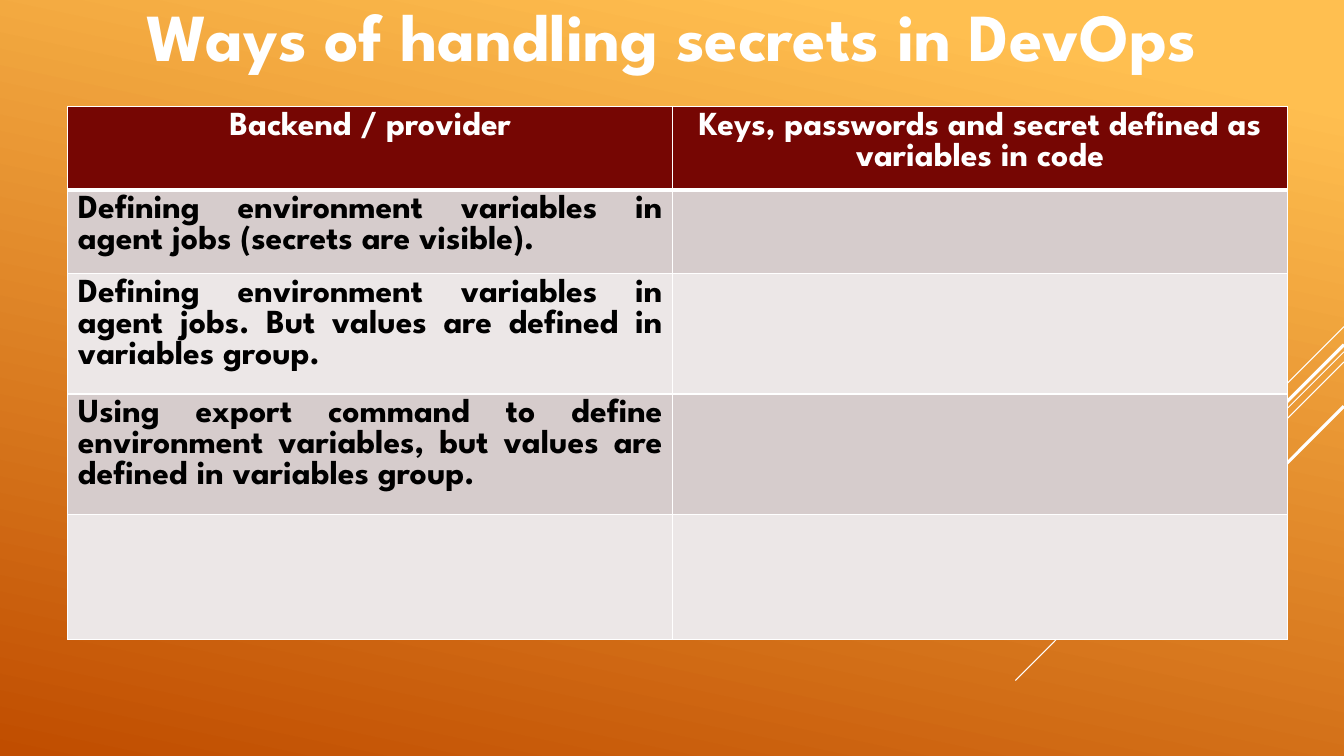
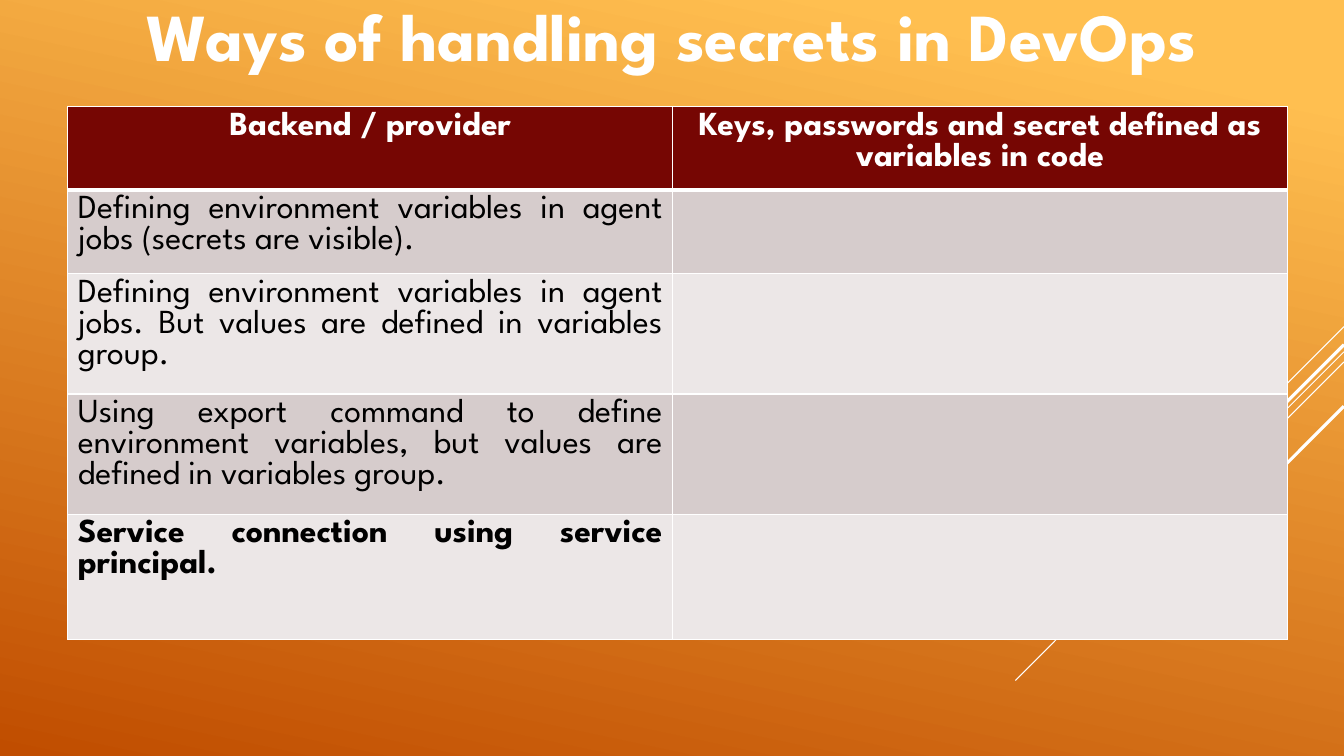
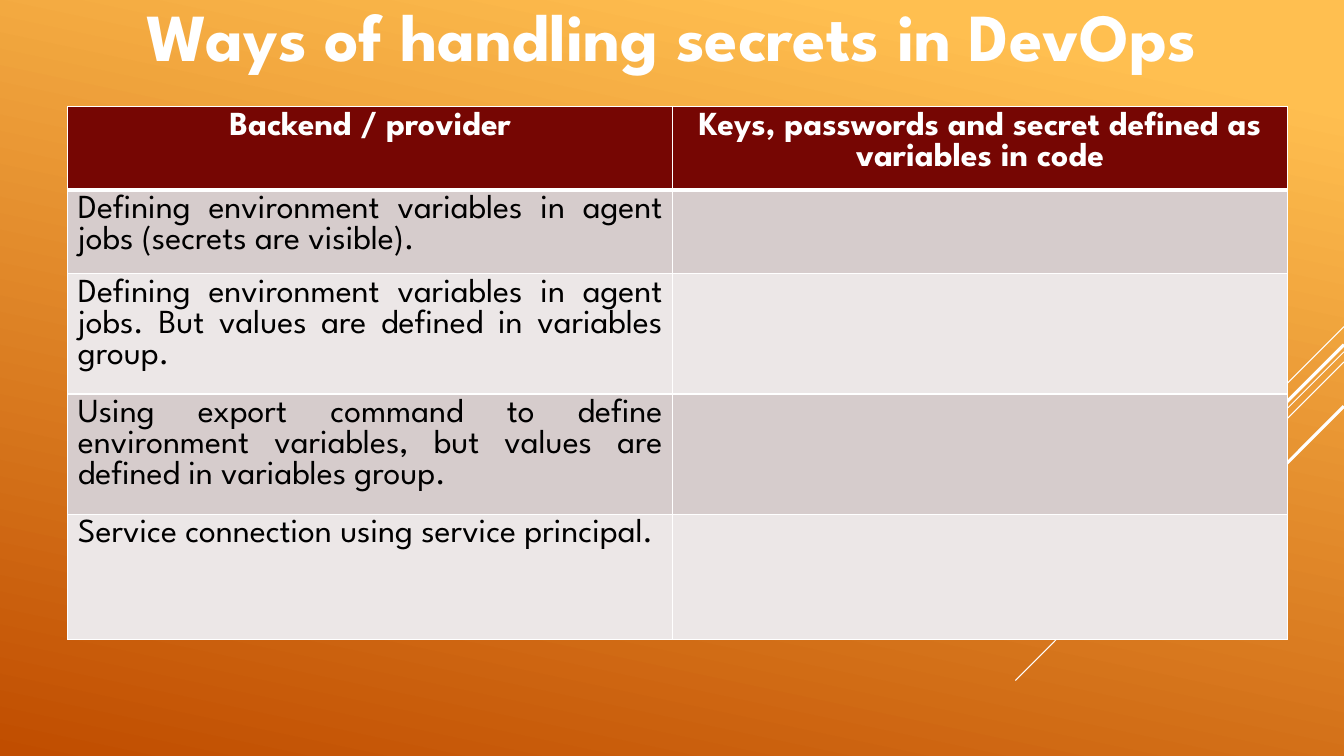
from lxml.etree import SubElement
from pptx import Presentation
from pptx.dml.color import RGBColor
from pptx.enum.shapes import MSO_CONNECTOR
from pptx.enum.text import MSO_ANCHOR, MSO_AUTO_SIZE, PP_ALIGN
from pptx.oxml.ns import qn
from pptx.util import Pt

FONT = "League Spartan"
WHITE, BLACK, MAROON = "FFFFFF", "000000", "760603"
BANDS = ("ECE7E7", "D6CCCC")
BACKDROP = ((0.1, "FFBF50"), (1, "C04D00"))
PAGE_WIDTH, PAGE_HEIGHT = 960, 540
TITLE_BOX = (48, 1.5, 863.5, 55.5)
TABLE_BOX = (48.5, 76.3, 871, 380.8)
COLUMN_WIDTHS = (432, 439)
ROW_HEIGHTS = (59.6, 59.6, 86, 86, 89.6)
STRIPES = ((233.3, 72, 0.75), (251.3, 234.7, 0.75), (258.5, 149, 0.75),
           (246.2, 137.5, 2.25), (290.2, 100, 2.25))

TITLE = "Ways of handling secrets in DevOps"
HEADINGS = ("Backend / provider", "Keys, passwords and secret defined as variables in code")
METHODS = (
    "Defining environment variables in agent jobs (secrets are visible).",
    "Defining environment variables in agent jobs. But values are defined in variables group.",
    "Using export command to define environment variables, but values are defined in variables group.",
    "Service connection using service principal.",
)
STEPS = ((3, (0, 1, 2)), (4, (3,)), (4, ()))


def color(value):
    """Turn a hex string into a colour."""
    return RGBColor.from_string(value)


def write(frame, text, size, ink, bold, align):
    """Put one formatted run into the first paragraph of a frame."""
    para = frame.paragraphs[0]
    para.alignment = align
    span = para.add_run()
    span.text = text
    span.font.name = FONT
    span.font.size = Pt(size)
    span.font.bold = bold
    span.font.color.rgb = color(ink)


def paint_backdrop(master):
    """Give the master its orange gradient."""
    fill = master.background.fill
    fill.gradient()
    fill.gradient_angle = 360 - 102
    for stop, (position, value) in zip(fill.gradient_stops, BACKDROP):
        stop.position = position
        stop.color.rgb = color(value)


def draw_stripes(page, master):
    """Draw the diagonal lines from the right edge and move them to the master."""
    for number, (top, run, weight) in enumerate(STRIPES):
        stripe = page.shapes.add_connector(
            MSO_CONNECTOR.STRAIGHT, Pt(PAGE_WIDTH), Pt(top), Pt(PAGE_WIDTH - run), Pt(top + run))
        stripe.line.color.rgb = color(WHITE)
        stripe.line.width = Pt(weight)
        SubElement(stripe.element.spPr, qn("a:effectLst"))
        stripe.element.nvCxnSpPr.cNvPr.id = 100 + number
        master.element.cSld.spTree.append(stripe.element)


def place_title(layout, box):
    """Set the place and anchor of the layout's title."""
    title = layout.placeholders[0]
    title.left, title.top, title.width, title.height = map(Pt, box)
    title.text_frame.vertical_anchor = MSO_ANCHOR.BOTTOM
    title.text_frame.auto_size = MSO_AUTO_SIZE.NONE


def border_cell(cell, row):
    """Line a cell in white, with a thick rule under the heading row."""
    properties = cell._tc.get_or_add_tcPr()
    weights = {"L": 1, "R": 1, "T": 3 if row == 1 else 1, "B": 3 if row == 0 else 1}
    for side, weight in weights.items():
        line = SubElement(properties, qn(f"a:ln{side}"), w=str(Pt(weight)))
        SubElement(SubElement(line, qn("a:solidFill")), qn("a:srgbClr"), val=WHITE)


def add_methods_table(page, box, shown, bold_rows):
    """Add the methods table with the first methods shown and some in bold."""
    table = page.shapes.add_table(len(ROW_HEIGHTS), len(COLUMN_WIDTHS), *map(Pt, box)).table
    table.horz_banding = False
    for column, width in zip(table.columns, COLUMN_WIDTHS):
        column.width = Pt(width)
    for index, (row, height) in enumerate(zip(table.rows, ROW_HEIGHTS)):
        row.height = Pt(height)
        for cell in row.cells:
            border_cell(cell, index)
            cell.fill.solid()
            cell.fill.fore_color.rgb = color(BANDS[index % 2] if index else MAROON)
    for index, heading in enumerate(HEADINGS):
        write(table.cell(0, index).text_frame, heading, 24, WHITE, True, PP_ALIGN.CENTER)
    for index, method in enumerate(METHODS[:shown]):
        write(table.cell(index + 1, 0).text_frame, method, 24, BLACK,
              index in bold_rows, PP_ALIGN.JUSTIFY)


def add_methods_page(deck, layout, shown, bold_rows):
    """Add one slide with the title and the methods table."""
    page = deck.slides.add_slide(layout)
    write(page.shapes.title.text_frame, TITLE, 48, WHITE, True, PP_ALIGN.CENTER)
    add_methods_table(page, TABLE_BOX, shown, bold_rows)
    return page


def main():
    """Build and save the deck."""
    deck = Presentation()
    deck.slide_width, deck.slide_height = Pt(PAGE_WIDTH), Pt(PAGE_HEIGHT)
    layout = deck.slide_layouts.get_by_name("Title Only")
    place_title(layout, TITLE_BOX)
    paint_backdrop(deck.slide_master)
    pages = [add_methods_page(deck, layout, *step) for step in STEPS]
    draw_stripes(pages[0], deck.slide_master)
    deck.save("out.pptx")


if __name__ == "__main__":
    main()
